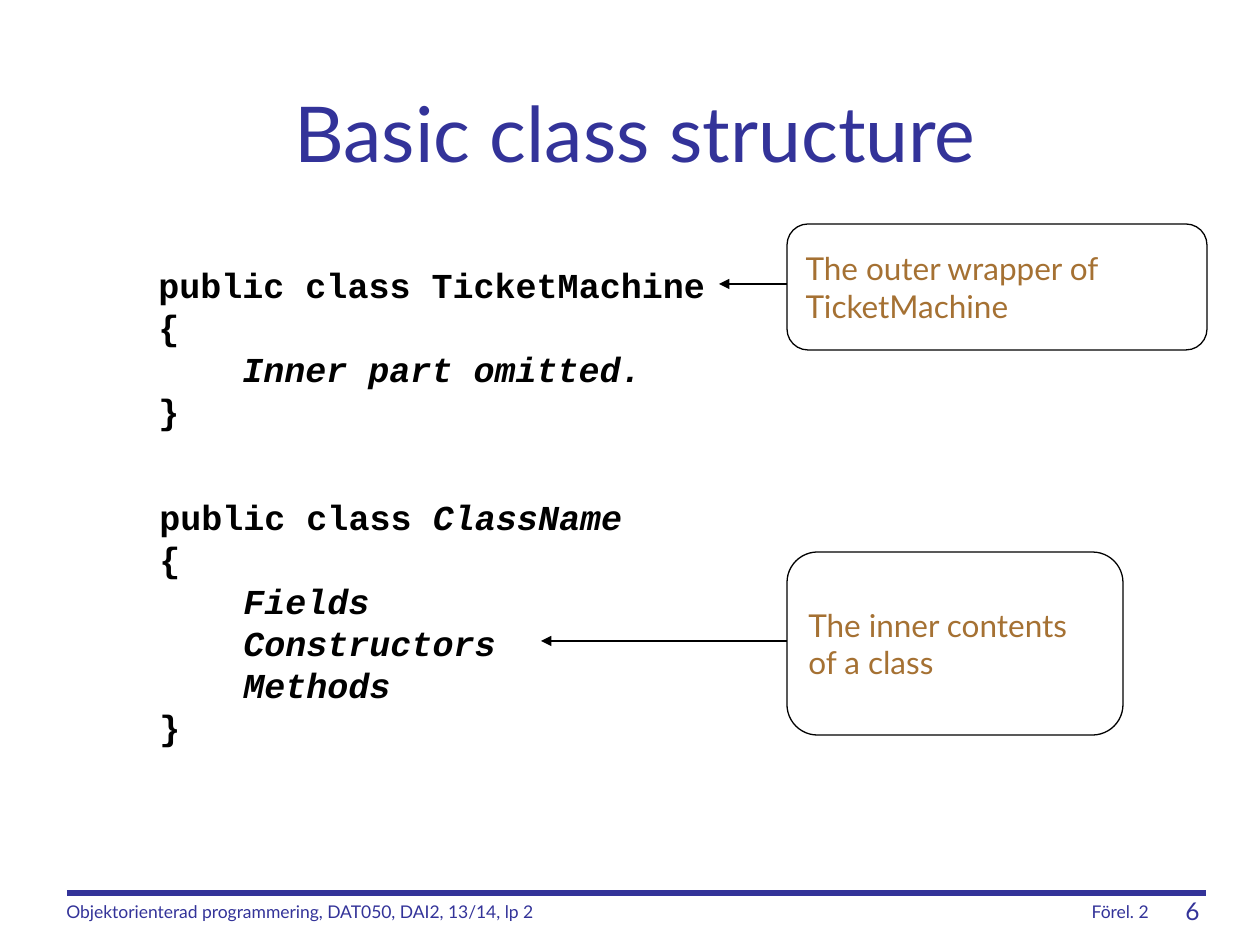
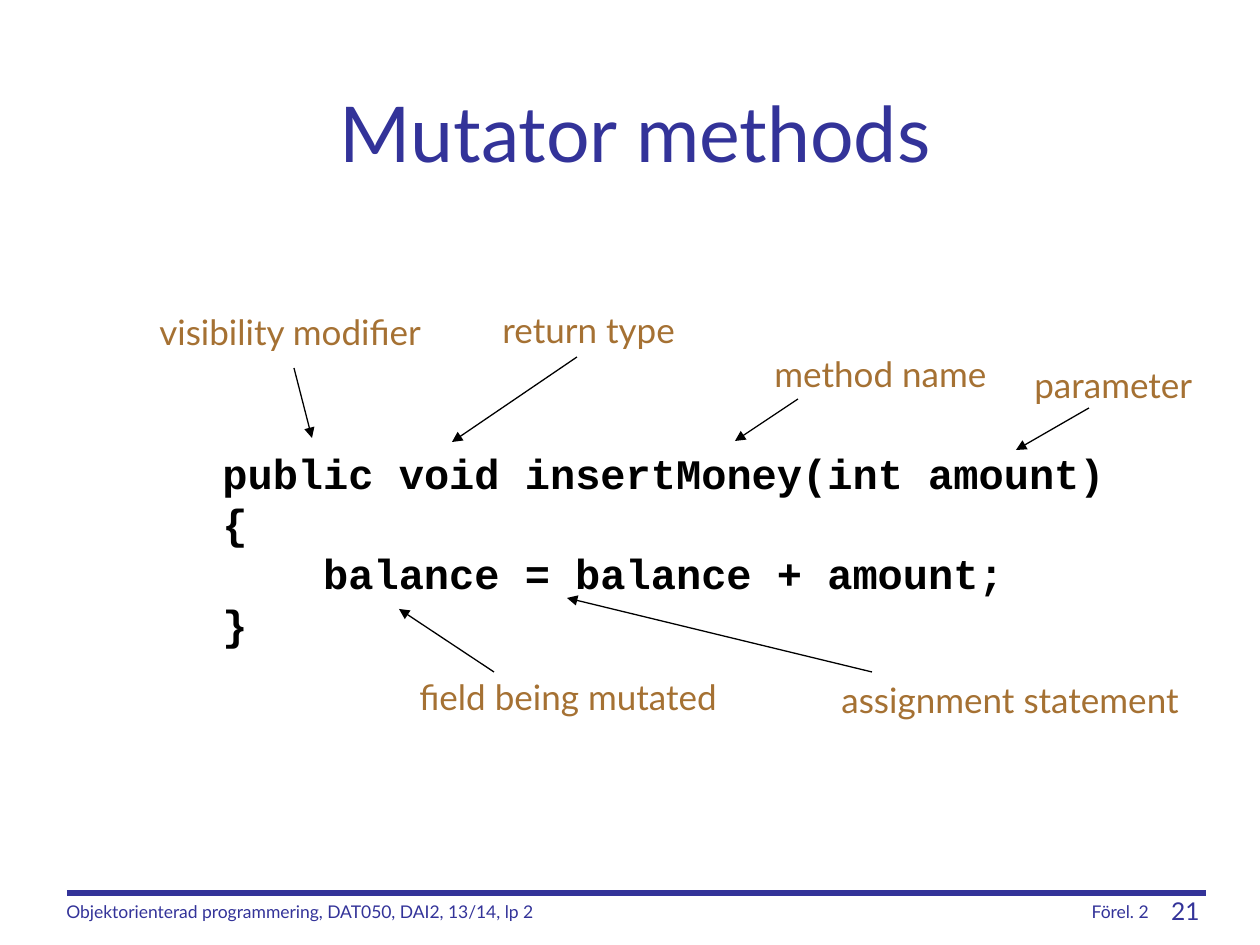
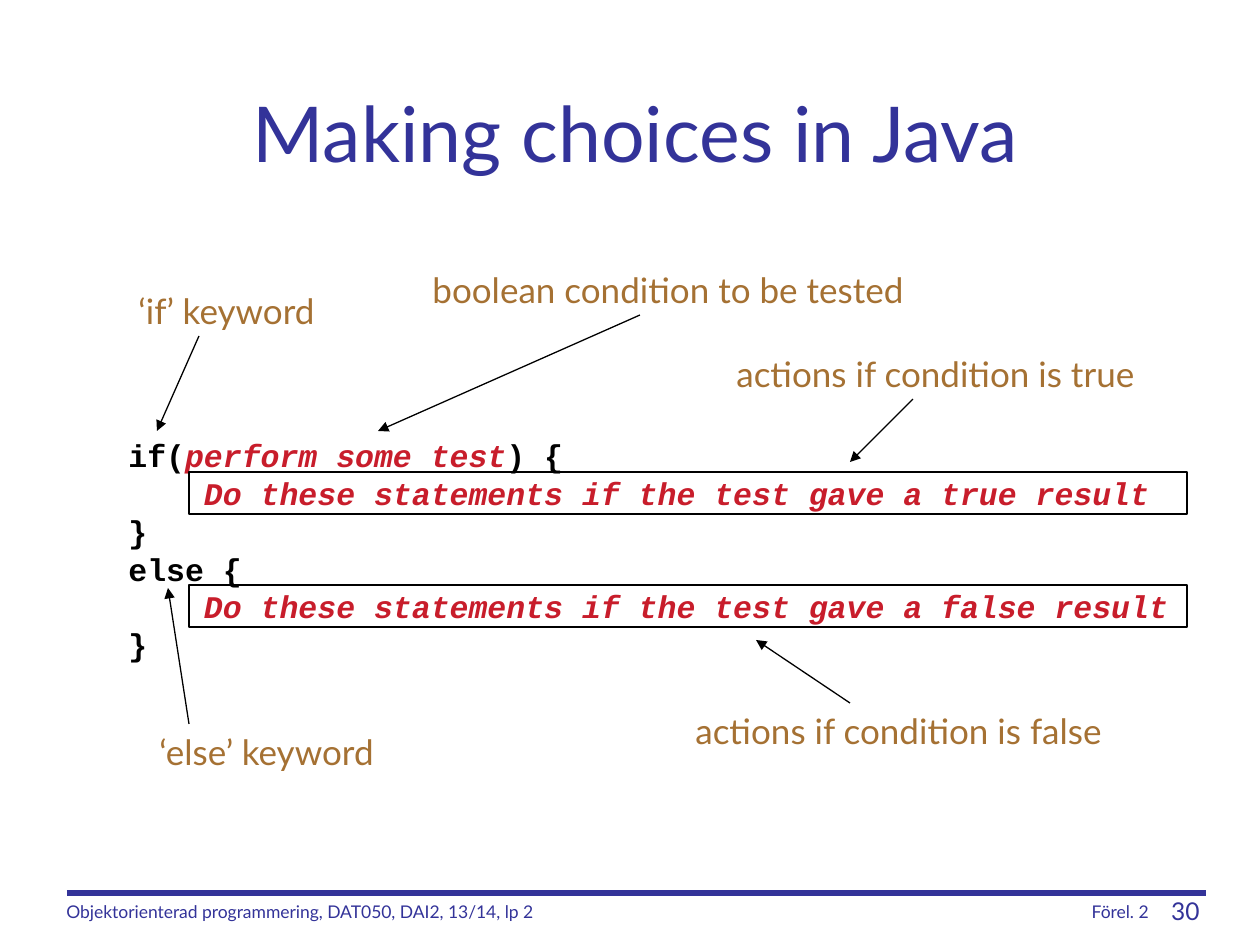
"""Build three lecture slides on Java classes, methods and choices."""
import lxml.etree
import pptx
import pptx.dml.color
import pptx.enum.shapes
import pptx.enum.text
import pptx.oxml.ns
import pptx.util

RGBColor = pptx.dml.color.RGBColor
INDIGO = RGBColor(0x33, 0x33, 0x99)
BROWN = RGBColor(0xA5, 0x71, 0x33)
RED = RGBColor(0xC8, 0x1D, 0x2B)
BLACK = RGBColor(0, 0, 0)

ALIGN = pptx.enum.text.PP_ALIGN
ANCHOR = pptx.enum.text.MSO_ANCHOR
SHAPE = pptx.enum.shapes.MSO_SHAPE
STRAIGHT = pptx.enum.shapes.MSO_CONNECTOR.STRAIGHT

PX_PER_INCH = 126
TEXT_FONT = "Lato"
CODE_FONT = "Courier New"
CODE_INDENT = 4 * 0.6
CODE_LEADING = 1.2
EMPHASIS = "~"


def px(*lengths):
    return [pptx.util.Inches(length / PX_PER_INCH) for length in lengths]


class Lecture:
    """Holds the deck, its style and the current page."""

    def __init__(self):
        self.deck = pptx.Presentation()
        self.deck.slide_width, self.deck.slide_height = px(1260, 945)
        self.page = None

    def style(self, paragraph, size, color, font=TEXT_FONT, align=ALIGN.LEFT):
        paragraph.alignment = align
        paragraph.font.name = font
        paragraph.font.size = pptx.util.Pt(size)
        paragraph.font.color.rgb = color

    def start(self, title, number):
        self.page = self.deck.slides.add_slide(self.deck.slide_layouts[5])
        box = self.page.shapes.title
        box.left, box.top, box.width, box.height = px(64, 53, 1143, 158)
        box.text_frame.text = title
        box.text_frame.vertical_anchor = ANCHOR.MIDDLE
        self.style(box.text_frame.paragraphs[0], 44, INDIGO, align=ALIGN.CENTER)
        self.line((67, 893), (1206, 893), INDIGO, 3)
        self.text("Objektorienterad programmering, DAT050, DAI2, 13/14, lp 2",
                  (54, 890, 638, 38), 10, INDIGO, anchor=ANCHOR.BOTTOM)
        self.text("Förel. 2", (937, 890, 224, 38), 10, INDIGO, ALIGN.RIGHT, ANCHOR.BOTTOM)
        self.text(str(number), (1139, 890, 73, 42), 14, INDIGO, ALIGN.RIGHT)

    def frame(self, bounds):
        frame = self.page.shapes.add_textbox(*px(*bounds)).text_frame
        frame.word_wrap = True
        return frame

    def text(self, words, bounds, size, color, align=ALIGN.LEFT, anchor=ANCHOR.TOP):
        frame = self.frame(bounds)
        frame.text = words
        frame.vertical_anchor = anchor
        self.style(frame.paragraphs[0], size, color, align=align)

    def label(self, words, left, top, width):
        self.text(words, (left, top, width, 54), 20, BROWN)

    def code(self, lines, bounds, size, emphasis=BLACK):
        frame = self.frame(bounds)
        for index, (level, line) in enumerate(lines):
            para = frame.add_paragraph() if index else frame.paragraphs[0]
            self.style(para, size, BLACK, CODE_FONT)
            para.font.bold = True
            para.line_spacing = pptx.util.Pt(CODE_LEADING * size)
            indent = pptx.util.Pt(level * CODE_INDENT * size)
            properties = para._p.get_or_add_pPr()
            properties.set("marL", str(indent))
            properties.set("indent", "0")
            for position, words in enumerate(line.split(EMPHASIS)):
                if words:
                    span = para.add_run()
                    span.text = words
                    if position % 2:
                        span.font.italic = True
                        span.font.color.rgb = emphasis

    def line(self, start, end, color=BLACK, width=0.75):
        connector = self.page.shapes.add_connector(STRAIGHT, *px(*start, *end))
        connector.line.color.rgb = color
        connector.line.width = pptx.util.Pt(width)
        lxml.etree.SubElement(connector._element.spPr, pptx.oxml.ns.qn("a:effectLst"))
        return connector

    def arrow(self, start, end):
        outline = self.line(start, end).line._get_or_add_ln()
        lxml.etree.SubElement(outline, pptx.oxml.ns.qn("a:tailEnd"), type="triangle")

    def outline(self, kind, bounds):
        shape = self.page.shapes.add_shape(kind, *px(*bounds))
        shape.shadow.inherit = False
        shape.fill.background()
        shape.line.color.rgb = BLACK
        shape.line.width = pptx.util.Pt(0.75)
        return shape

    def callout(self, words, bounds):
        frame = self.outline(SHAPE.ROUNDED_RECTANGLE, bounds).text_frame
        frame.word_wrap = True
        frame.vertical_anchor = ANCHOR.MIDDLE
        frame.text = words
        self.style(frame.paragraphs[0], 18, BROWN)


def class_structure(lecture):
    lecture.start("Basic class structure", 6)
    lecture.code([(0, "public class TicketMachine"), (0, "{"),
                  (1, "~Inner part omitted.~"), (0, "}")], (146, 257, 577, 183), 20)
    lecture.code([(0, "public class ~ClassName~"), (0, "{"), (1, "~Fields~"),
                  (1, "~Constructors~"), (1, "~Methods~"), (0, "}")],
                 (147, 489, 491, 267), 20)
    lecture.arrow((787, 284), (719, 284))
    lecture.arrow((787, 641), (541, 641))
    lecture.callout("The outer wrapper of TicketMachine", (787, 224, 420, 126))
    lecture.callout("The inner contents of a class", (787, 552, 336, 183))


def mutator_methods(lecture):
    lecture.start("Mutator methods", 21)
    lecture.code([(0, "public void insertMoney(int amount)"), (0, "{"),
                  (1, "balance = balance + amount;"), (0, "}")], (210, 441, 920, 214), 24)
    for words, left, top, width, start, end in [
        ("return type", 490, 302, 204, (577, 357), (452, 442)),
        ("method name", 762, 346, 241, (798, 399), (735, 441)),
        ("parameter", 1022, 357, 190, (1089, 408), (1016, 450)),
        ("visibility modifier", 147, 304, 301, (294, 368), (312, 438)),
        ("assignment statement", 829, 672, 370, (872, 672), (567, 598)),
        ("field being mutated", 407, 669, 336, (494, 672), (399, 609)),
    ]:
        lecture.label(words, left, top, width)
        lecture.arrow(start, end)


def making_choices(lecture):
    lecture.start("Making choices in Java", 30)
    lecture.code([(0, "if(~perform some test~) {"),
                  (1, "~Do these statements if the test gave a true result~"),
                  (0, "}"), (0, "else {"),
                  (1, "~Do these statements if the test gave a false result~"),
                  (0, "}")], (116, 430, 1080, 239), 18, RED)
    for words, left, top, width, start, end in [
        ("‘if’ keyword", 126, 283, 217, (199, 336), (157, 431)),
        ("boolean condition to be tested", 420, 262, 525, (640, 315), (378, 431)),
        ("actions if condition is true", 724, 346, 438, (913, 399), (850, 462)),
        ("actions if condition is false", 683, 703, 462, (850, 703), (756, 640)),
        ("‘else’ keyword", 147, 724, 256, (189, 724), (168, 588)),
    ]:
        lecture.label(words, left, top, width)
        lecture.arrow(start, end)
    for top in (472, 585):
        lecture.outline(SHAPE.RECTANGLE, (189, top, 998, 42))


def main():
    lecture = Lecture()
    class_structure(lecture)
    mutator_methods(lecture)
    making_choices(lecture)
    lecture.deck.save("out.pptx")


if __name__ == "__main__":
    main()
